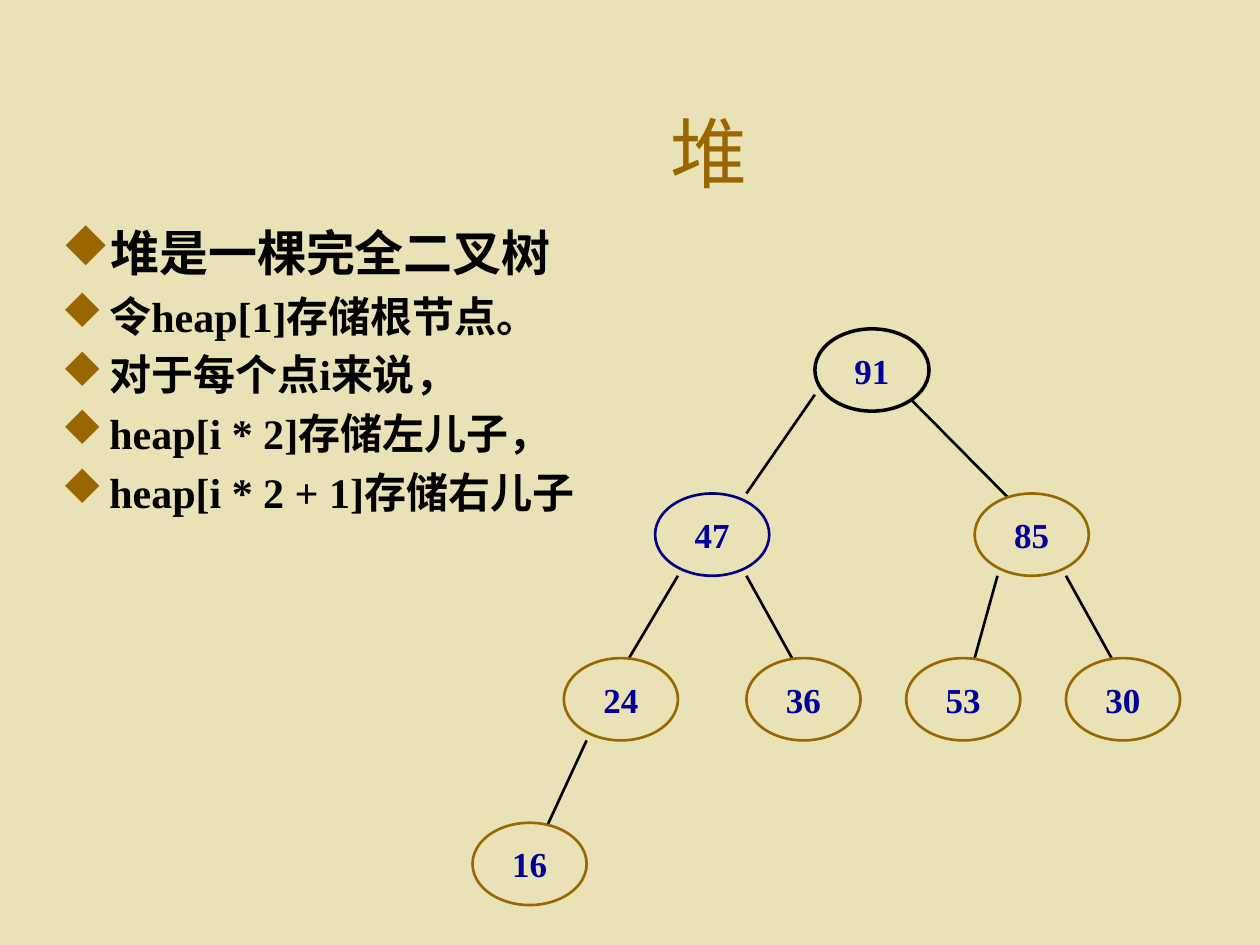
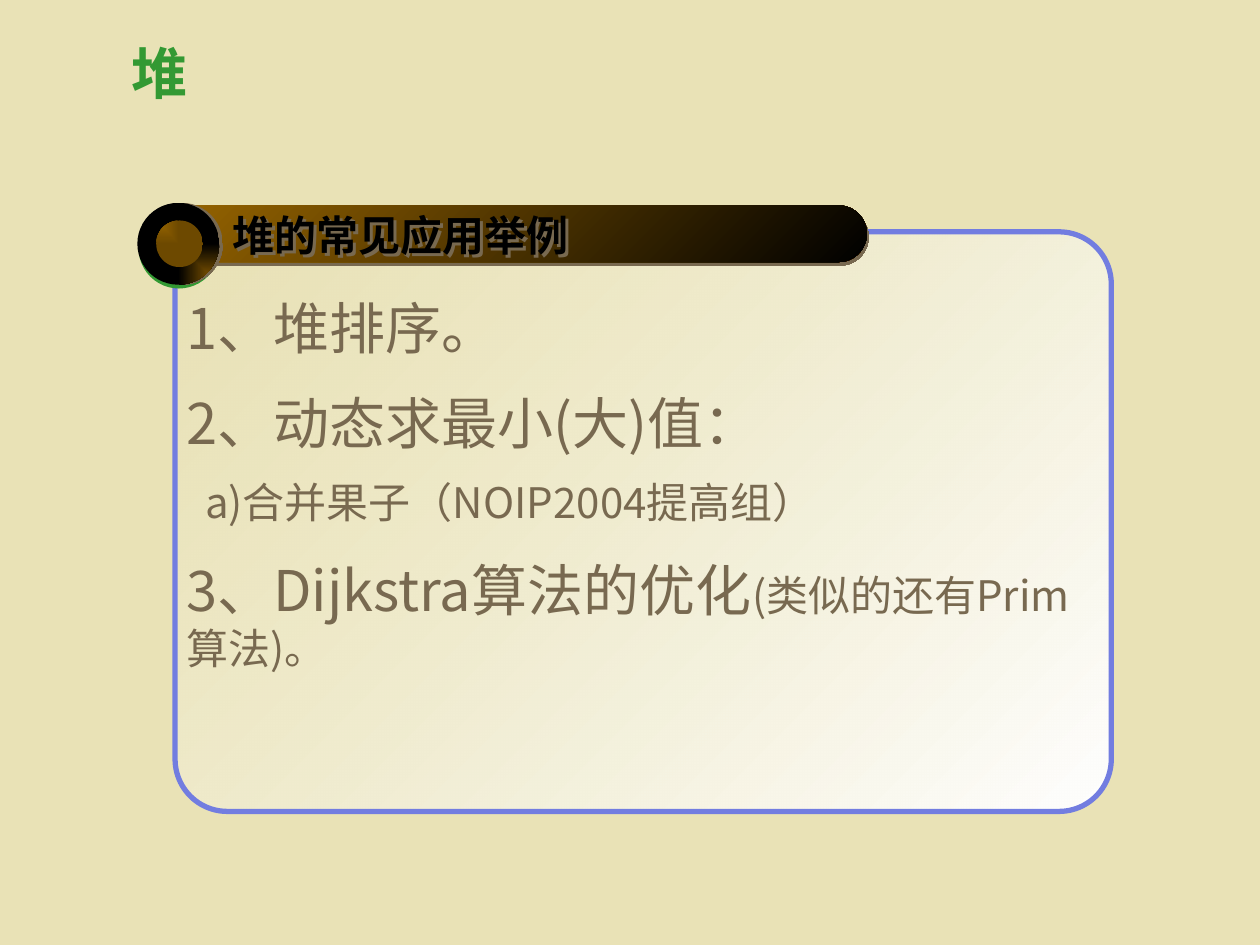
from lxml import etree
from pptx import Presentation
from pptx.dml.color import RGBColor
from pptx.enum.shapes import MSO_CONNECTOR as LINK, MSO_SHAPE as SHAPE
from pptx.enum.text import MSO_ANCHOR as ANCHOR, PP_ALIGN as ALIGN
from pptx.oxml import parse_xml
from pptx.oxml.ns import nsdecls, qn
from pptx.util import Inches, Pt

HEX = {"back": "E9E2B6", "gold": "996600", "black": "000000", "navy": "000080",
       "blue": "000099", "green": "339933", "edge": "727DE0", "white": "FFFFFF",
       "brown": "786950", "dark": "6D4900"}
RGB = {name: RGBColor.from_string(code) for name, code in HEX.items()}
SERIF, SANS, CJK = "Times New Roman", "DejaVu Sans", "Noto Sans CJK SC"


def style(run, font, size, color, bold=False):
    run.font.size, run.font.bold = Pt(size), bold
    run.font.color.rgb = RGB[color]
    run.font.name = font
    east = etree.SubElement(run.font._element, qn("a:ea"))
    east.set("typeface", CJK)


def shade(shape, size, angle):
    """Give the shape a hard brown shadow, size points away."""
    shape.shadow.inherit = False
    shape._element.spPr.find(qn("a:effectLst")).append(parse_xml(
        f'<a:outerShdw {nsdecls("a")} dist="{Pt(size)}" dir="{angle * 60000}" '
        f'algn="ctr" rotWithShape="0"><a:srgbClr val="{HEX["brown"]}"/></a:outerShdw>'))


prs = Presentation()
prs.slide_width, prs.slide_height = Inches(10), Inches(7.5)
back = prs.slide_master.background.fill
back.solid()
back.fore_color.rgb = RGB["back"]

# Each slide has the same title word in its own place and style
titles = [((1.5, 0.58, 8.25, 1.25), ALIGN.CENTER, (SERIF, 44, "gold")),
          ((0.94, 0.24, 7.65, 0.67), ALIGN.LEFT, (SANS, 32, "green", True))]
for box, align, look in titles:
    slide = prs.slides.add_slide(prs.slide_layouts[5])
    title = slide.shapes.title
    title.left, title.top, title.width, title.height = map(Inches, box)
    title.text_frame.text = "堆"
    title.text_frame.vertical_anchor = ANCHOR.MIDDLE
    para = title.text_frame.paragraphs[0]
    para.alignment = align
    style(para.runs[0], *look)
tree, uses = [slide.shapes for slide in prs.slides]

# Slide 1: bullets, where the letter u in Wingdings is a diamond
points = ["堆是一棵完全二叉树", "令heap[1]存储根节点。", "对于每个点i来说，",
          "heap[i * 2]存储左儿子，", "heap[i * 2 + 1]存储右儿子"]
frame = tree.add_textbox(*map(Inches, (0.39, 1.72, 8.33, 4.5))).text_frame
frame.word_wrap = True
for i, point in enumerate(points):
    para = frame.paragraphs[0] if i == 0 else frame.add_paragraph()
    para.text = point
    size = 28 if i == 0 else 24
    para.space_before = Pt(size * 0.2)
    style(para.runs[0], SERIF, size, "black", True)
    props = para._p.get_or_add_pPr()
    props.set("marL", str(Inches(0.38)))
    props.set("indent", str(-Inches(0.38)))
    color = etree.SubElement(props, qn("a:buClr"))
    etree.SubElement(color, qn("a:srgbClr")).set("val", HEX["gold"])
    etree.SubElement(props, qn("a:buFont"), typeface="Wingdings",
                     pitchFamily="2", charset="2")
    etree.SubElement(props, qn("a:buChar")).set("char", "u")

# Slide 1: heap on a fine grid, where a node is 5 by 5 cells
LEFT, TOP = 3.75, 2.61
COL, ROW = 4.71 / 26, 3.92 / 30
edges = [(15, 4, 12, 10), (19, 4, 24, 11), (9, 15, 6, 22), (12, 15, 14, 20),
         (23, 15, 22, 20), (26, 15, 28, 20), (5, 25, 3, 31)]
for x1, y1, x2, y2 in edges:
    edge = tree.add_connector(
        LINK.STRAIGHT, Inches(LEFT + x1 * COL), Inches(TOP + y1 * ROW),
        Inches(LEFT + x2 * COL), Inches(TOP + y2 * ROW))
    edge.line.color.rgb, edge.line.width = RGB["black"], Pt(1.5)
    etree.SubElement(edge._element.spPr, qn("a:effectLst"))

levels = [[(91, 15)], [(47, 8), (85, 22)],
          [(24, 4), (36, 12), (53, 19), (30, 26)], [(16, 0)]]
rims = {91: ("black", 2), 47: ("navy", 1.5)}
for depth, level in enumerate(levels):
    for value, col in level:
        node = tree.add_shape(
            SHAPE.OVAL, Inches(LEFT + col * COL), Inches(TOP + depth * 10 * ROW),
            Inches(5 * COL), Inches(5 * ROW))
        node.shadow.inherit = False
        node.fill.solid()
        node.fill.fore_color.rgb = RGB["back"]
        rim, width = rims.get(value, ("gold", 1.5))
        node.line.color.rgb, node.line.width = RGB[rim], Pt(width)
        frame = node.text_frame
        frame.text, frame.word_wrap = str(value), False
        frame.vertical_anchor = ANCHOR.MIDDLE
        frame.paragraphs[0].alignment = ALIGN.CENTER
        style(frame.paragraphs[0].runs[0], SERIF, 20, "blue", True)

# Slide 2: panel, header bar and ring: kind, box, adjustment, colours, focus, shadow
parts = [
    (SHAPE.ROUNDED_RECTANGLE, (1.39, 1.84, 7.43, 4.6), 0.09, ("back", "white"), None, None),
    (SHAPE.ROUNDED_RECTANGLE, (1.24, 1.63, 5.64, 0.45), 0.5, ("gold", "black"), None, (2.2, 63)),
    (SHAPE.OVAL, (1.1, 1.65, 0.64, 0.64), None, ("green",), None, None),
    (SHAPE.DONUT, (1.09, 1.61, 0.65, 0.65), 0.25, ("gold", "black"), "lt", (2, 0)),
    (SHAPE.OVAL, (1.24, 1.75, 0.37, 0.37), None, ("gold", "dark"), "rb", None)]
for kind, box, bend, colors, focus, shadow in parts:
    part = uses.add_shape(kind, *map(Inches, box))
    part.shadow.inherit = False
    part.line.fill.background()
    if bend:
        part.adjustments[0] = bend
    if len(colors) == 1:
        part.fill.solid()
        part.fill.fore_color.rgb = RGB[colors[0]]
    else:
        part.fill.gradient()
        part.fill.gradient_angle = 315
        for stop, color in zip(part.fill.gradient_stops, colors):
            stop.color.rgb = RGB[color]
    if focus:
        lin = part._element.spPr.find(".//" + qn("a:lin"))
        sides = " ".join(f'{side}="100000"' for side in focus)
        lin.getparent().replace(lin, parse_xml(
            f'<a:path {nsdecls("a")} path="rect"><a:fillToRect {sides}/></a:path>'))
    if shadow:
        shade(part, *shadow)
panel = uses[1]
panel.line.color.rgb, panel.line.width = RGB["edge"], Pt(3)
clear = panel._element.spPr.find(".//" + qn("a:srgbClr"))
etree.SubElement(clear, qn("a:alpha")).set("val", "57000")

# Slide 2: header, whose unfilled box casts the shadow of its text
head = uses.add_textbox(*map(Inches, (1.75, 1.68, 4.11, 0.36)))
shade(head, 2.4, 45)
frame = head.text_frame
frame.text, frame.word_wrap = "堆的常见应用举例", True
frame.vertical_anchor = ANCHOR.MIDDLE
style(frame.paragraphs[0].runs[0], SANS, 24, "black", True)

# Slide 2: list
items = [[("1、堆排序。", 32)], [("2、动态求最小(大)值：", 32)],
         [("a)合并果子（NOIP2004提高组）", 24)],
         [("3、Dijkstra算法的优化", 32), ("(类似的还有Prim算法)。", 24)]]
frame = uses.add_textbox(*map(Inches, (1.38, 2.28, 7.44, 3.27))).text_frame
frame.word_wrap = True
for i, item in enumerate(items):
    para = frame.paragraphs[0] if i == 0 else frame.add_paragraph()
    para.space_before = Pt(item[0][1] / 2)
    if item[0][1] == 24:
        para._p.get_or_add_pPr().set("marL", str(Inches(0.15)))
    for text, size in item:
        run = para.add_run()
        run.text = text
        style(run, CJK, size, "brown")

prs.save("out.pptx")
